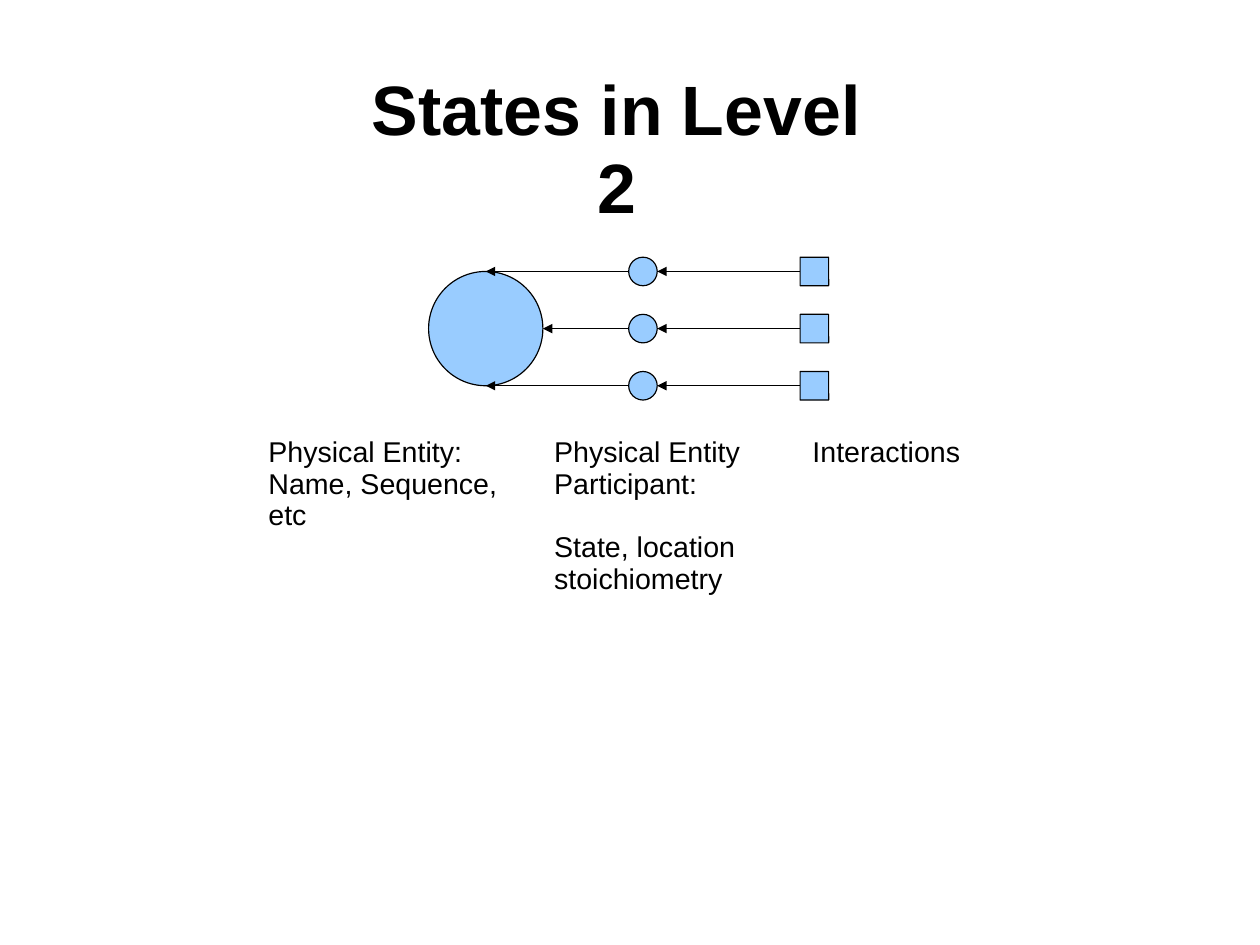
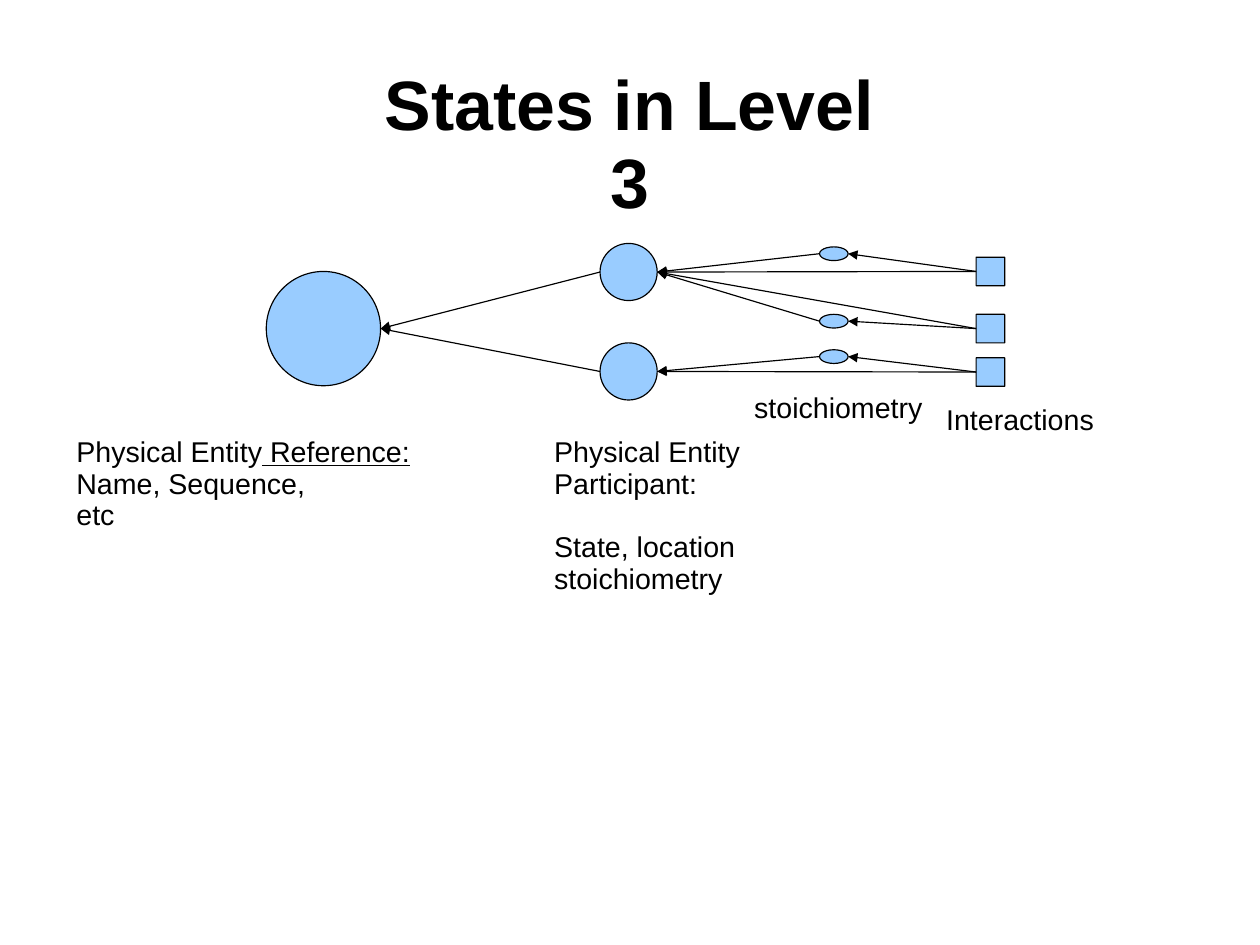
import pptx
import pptx.dml.color
import pptx.enum.shapes
import pptx.enum.text
import pptx.oxml
import pptx.util
from pptx.util import Inches

BLACK = "000000"
LIGHT_BLUE = "99CCFF"
FONT = "Arial"
LABEL_SIZE = 18
TITLE_SIZE = 44
LINE_SPACING = 0.93
LINE_WIDTH = pptx.util.Pt(0.75)
CIRCLE = pptx.enum.shapes.MSO_SHAPE.OVAL
SQUARE = pptx.enum.shapes.MSO_SHAPE.ROUNDED_RECTANGLE
SMALL = 0.25
FIRST_TOP = 2.25
FIRST_MIDDLE = FIRST_TOP + SMALL / 2
ENTITY_MIDDLE = FIRST_MIDDLE + 0.5


def color(hex_string):
    return pptx.dml.color.RGBColor.from_string(hex_string)


def add_run(paragraph, text, size, bold=False, underline=False):
    run = paragraph.add_run()
    run.text = text
    run.font.name = FONT
    run.font.size = pptx.util.Pt(size)
    run.font.bold = bold
    run.font.underline = underline
    run.font.color.rgb = color(BLACK)


# Nodes are (kind, left, top, width, height); arrows are (x1, y1, x2, y2).
# Level 2: one participant for each interaction, in three rows.
level_2_nodes = [(CIRCLE, 3.75, FIRST_MIDDLE, 1, 1)]
level_2_arrows = []
for row, entity_edge in enumerate((4.25, 4.75, 4.25)):
    top = FIRST_TOP + 0.5 * row
    middle = top + SMALL / 2
    level_2_nodes += [(CIRCLE, 5.5, top, SMALL, SMALL), (SQUARE, 7, top, SMALL, SMALL)]
    level_2_arrows += [(7, middle, 5.75, middle), (5.5, middle, entity_edge, middle)]

# Level 3: interactions reach a participant directly and through a stoichiometry.
level_3_nodes = [(CIRCLE, 2.33, FIRST_MIDDLE, 1, 1)]
level_3_arrows = []
for participant_middle in (2.38, 3.25):
    level_3_nodes.append((CIRCLE, 5.25, participant_middle - 0.25, 0.5, 0.5))
    level_3_arrows.append((5.25, participant_middle, 3.33, ENTITY_MIDDLE))
for interaction_top, stoichiometry_middle, participant_middle in (
    (2.25, 2.22, 2.38),
    (2.75, 2.81, 2.38),
    (3.13, 3.12, 3.25),
):
    interaction_middle = interaction_top + SMALL / 2
    level_3_nodes += [
        (SQUARE, 8.54, interaction_top, SMALL, SMALL),
        (CIRCLE, 7.17, stoichiometry_middle - 0.06, SMALL, 0.12),
    ]
    level_3_arrows += [
        (8.54, interaction_middle, 5.75, participant_middle),
        (8.54, interaction_middle, 7.42, stoichiometry_middle),
        (7.17, stoichiometry_middle, 5.75, participant_middle),
    ]

# Labels are (left, top, width, height, blocks). A block is a list of lines,
# a line is (plain text, optional underlined text).
participant_label = (4.75, 3.75, 1.88, 1.78, [
    [("Physical Entity",), ("Participant:",)],
    [("State, location",), ("stoichiometry",)],
])
level_2_labels = [
    (7.01, 3.75, 1.52, 0.38, [[("Interactions",)]]),
    participant_label,
    (2.25, 3.75, 2.25, 0.94, [[("Physical Entity:",), ("Name, Sequence,",), ("etc",)]]),
]
level_3_labels = [
    (8.18, 3.47, 1.57, 0.38, [[("Interactions",)]]),
    participant_label,
    (0.57, 3.75, 3.2, 0.94, [
        [("Physical Entity", " Reference:"), ("Name, Sequence,",), ("etc",)],
    ]),
    (6.5, 3.37, 1.72, 0.38, [[("stoichiometry",)]]),
]

slides = [
    ("2", 0.61, 9.69, level_2_nodes, level_2_arrows, level_2_labels),
    ("3", 0.57, 9.92, level_3_nodes, level_3_arrows, level_3_labels),
]

presentation = pptx.Presentation()
# The page is metric: 28 by 21 cm, exactly 4:3.
presentation.slide_width = pptx.util.Cm(28)
presentation.slide_height = pptx.util.Cm(21)

for level, title_top, title_width, nodes, arrows, labels in slides:
    slide = presentation.slides.add_slide(presentation.slide_layouts[5])

    title = slide.shapes.title
    title.left, title.top = Inches(0.55), Inches(title_top)
    title.width, title.height = Inches(title_width), Inches(1.38)
    frame = title.text_frame
    frame.auto_size = pptx.enum.text.MSO_AUTO_SIZE.NONE
    frame.vertical_anchor = pptx.enum.text.MSO_ANCHOR.MIDDLE
    frame.margin_left = frame.margin_right = frame.margin_bottom = 0
    frame.margin_top = Inches(0.04)
    paragraph = frame.paragraphs[0]
    paragraph.alignment = pptx.enum.text.PP_ALIGN.CENTER
    paragraph.line_spacing = LINE_SPACING
    add_run(paragraph, "States in Level", TITLE_SIZE, bold=True)
    paragraph.add_line_break()
    add_run(paragraph, level, TITLE_SIZE, bold=True)

    for kind, *box in nodes:
        node = slide.shapes.add_shape(kind, *map(Inches, box))
        node.shadow.inherit = False
        node.fill.solid()
        node.fill.fore_color.rgb = color(LIGHT_BLUE)
        node.line.color.rgb = color(BLACK)
        node.line.width = LINE_WIDTH
        if kind == SQUARE:
            node.adjustments[0] = 0.01

    for ends in arrows:
        arrow = slide.shapes.add_connector(
            pptx.enum.shapes.MSO_CONNECTOR.STRAIGHT, *map(Inches, ends))
        arrow.line.color.rgb = color(BLACK)
        arrow.line.width = LINE_WIDTH
        properties = arrow.line._get_or_add_ln()
        head = pptx.oxml.xmlchemy.OxmlElement("a:tailEnd")
        head.set("type", "triangle")
        properties.append(head)
        properties.addnext(pptx.oxml.xmlchemy.OxmlElement("a:effectLst"))

    for left, top, width, height, blocks in labels:
        label = slide.shapes.add_textbox(*map(Inches, (left, top, width, height)))
        frame = label.text_frame
        frame.word_wrap = True
        frame.margin_left = frame.margin_right = Inches(0.1)
        frame.margin_top, frame.margin_bottom = Inches(0.07), Inches(0.05)
        paragraph = None
        for block_number, block in enumerate(blocks):
            for line_number, line in enumerate(block):
                paragraph = frame.add_paragraph() if paragraph else frame.paragraphs[0]
                paragraph.line_spacing = LINE_SPACING
                if block_number > 0 and line_number == 0:
                    paragraph.space_before = pptx.util.Pt(20)
                for run_number, text in enumerate(line):
                    add_run(paragraph, text, LABEL_SIZE, underline=run_number > 0)

presentation.save("out.pptx")
